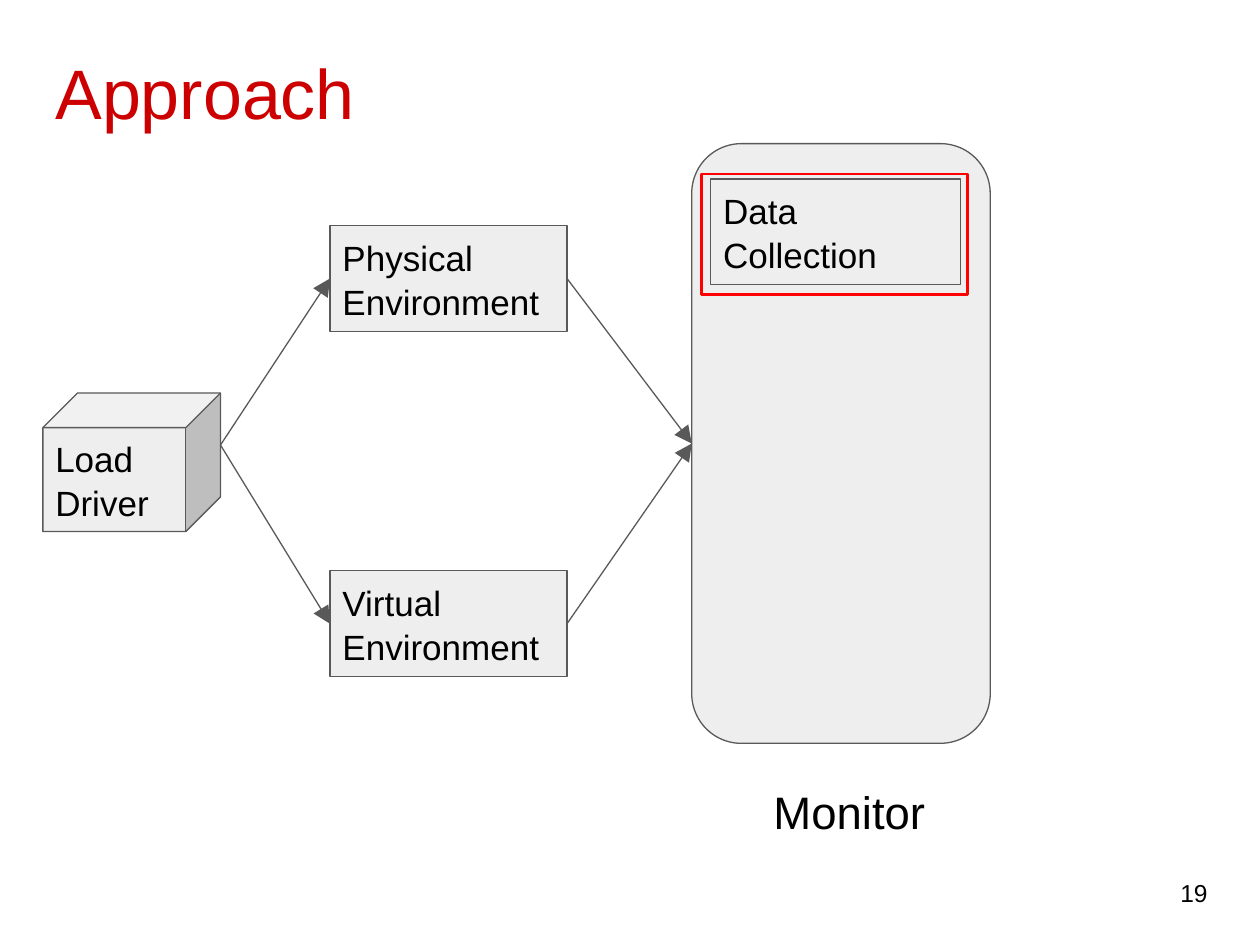
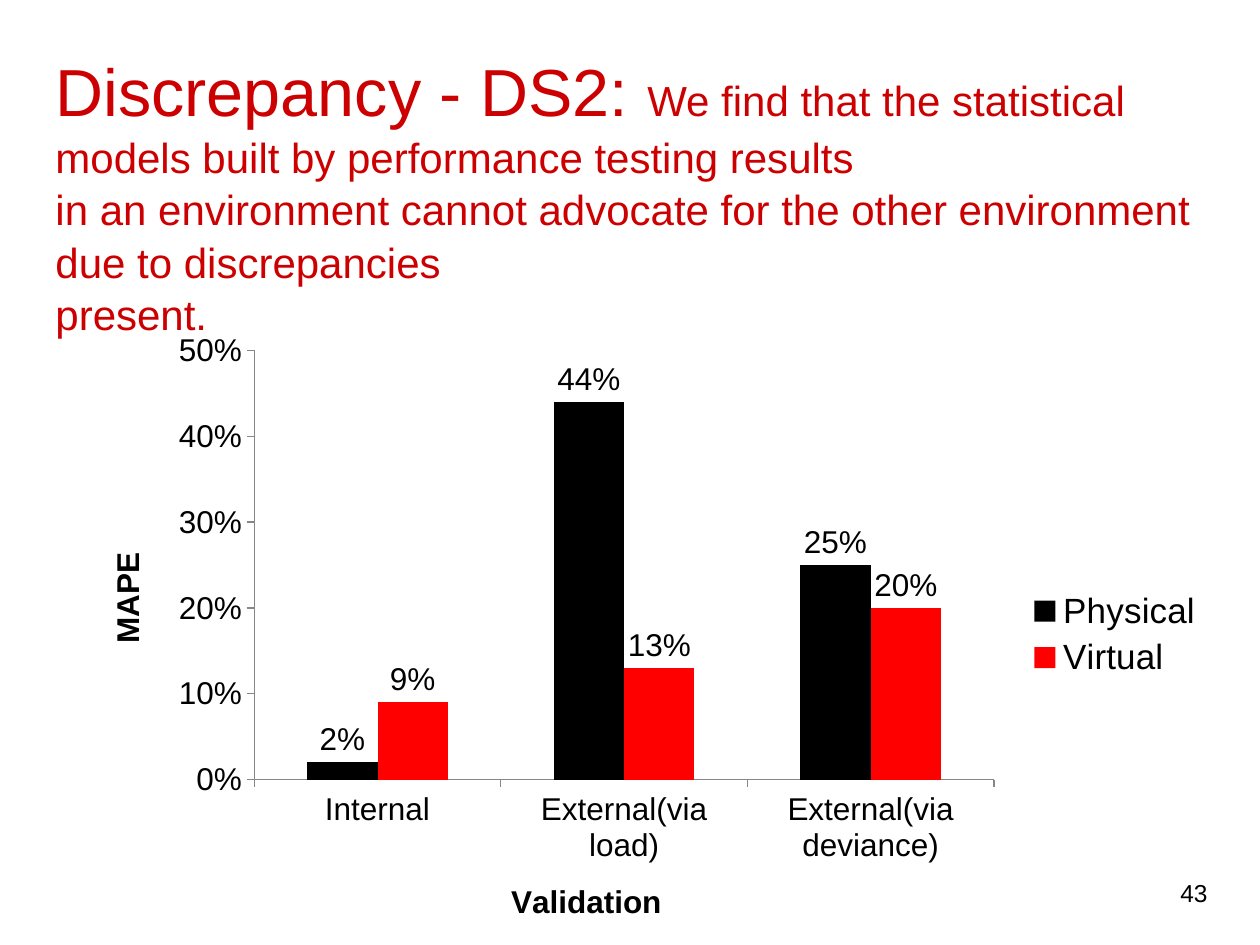
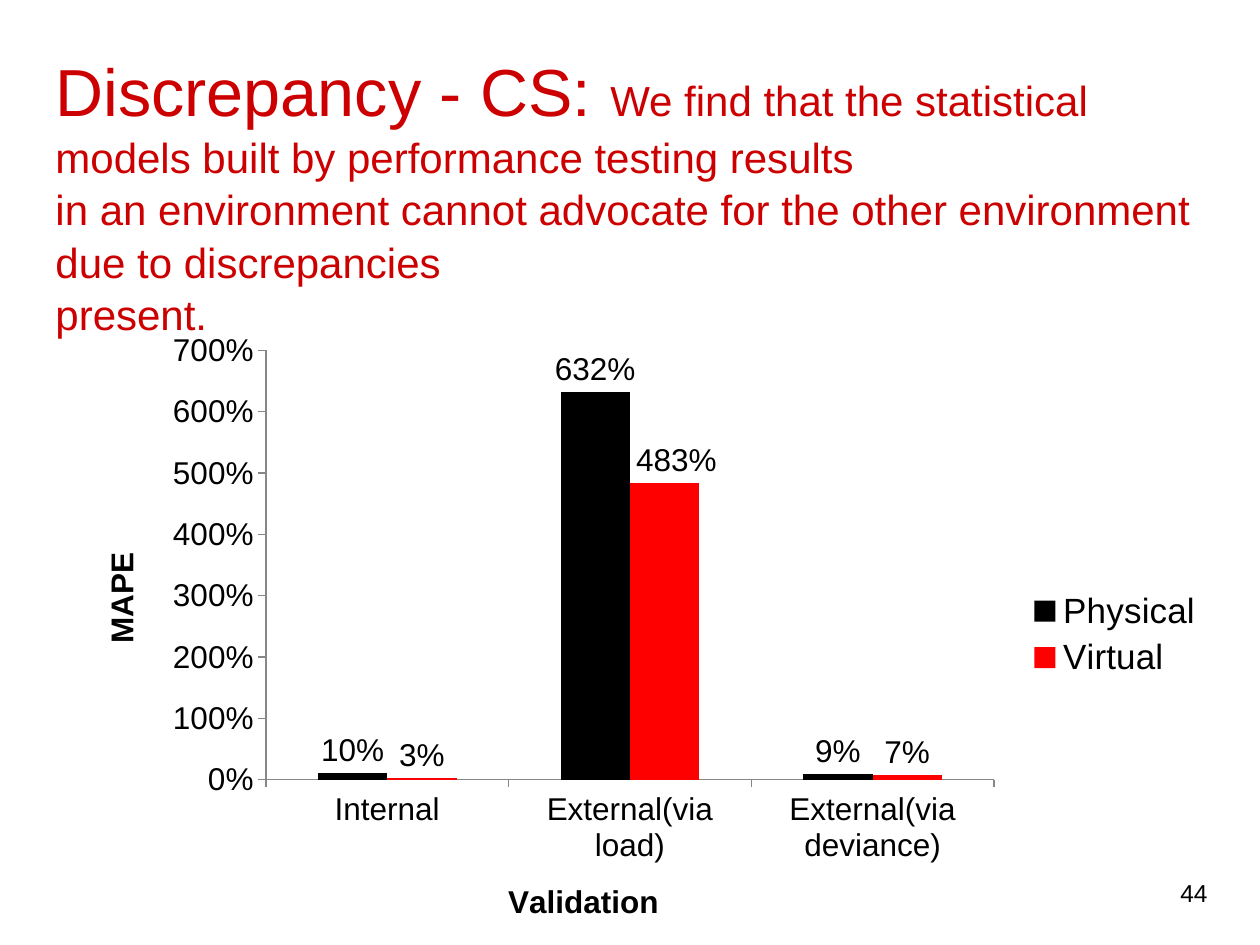
from collections import namedtuple

from lxml import etree
from pptx import Presentation
from pptx.chart.data import CategoryChartData
from pptx.dml.color import RGBColor
from pptx.enum.chart import (XL_CHART_TYPE as ChartType, XL_LABEL_POSITION as LabelPosition,
                             XL_LEGEND_POSITION as LegendPosition, XL_TICK_MARK as TickMark)
from pptx.enum.shapes import MSO_CONNECTOR as Connector, MSO_SHAPE as Shape
from pptx.enum.text import MSO_ANCHOR as Anchor, MSO_AUTO_SIZE as AutoSize, PP_ALIGN as Align
from pptx.oxml import parse_xml
from pptx.oxml.ns import nsdecls, qn
from pptx.util import Pt

Box = namedtuple("Box", "left top width height")

FONT = "Arial"
TITLE_RED, BLACK, RED = "CC0000", "000000", "FF0000"
PANEL_GREY, LINE_GREY, AXIS_GREY = "EEEEEE", "595959", "878787"
INSET = 7.2
LINE_SPACING = 1.04
TITLE_LEFT, TITLE_TOP, TITLE_WIDTH = 24.5, 19.4, 671
NUMBER_BOX = Box(667.4, 489.6, 43.2, 41)
DIAGRAM_BOX = Box(24.5, 82.1, 541.4, 398.8)
CHART_BOX = Box(24.5, 182.2, 671, 360.7)
CATEGORIES = ["Internal", "External(via load)", "External(via deviance)"]
FINDING = [
    "We find that the statistical models built by performance testing results",
    "in an environment cannot advocate for the other environment due to discrepancies",
    "present.",
]


def color(hex_string):
    return RGBColor.from_string(hex_string)


def in_points(box):
    return [Pt(length) for length in box]


def style_font(font, size, hex_string=BLACK, bold=False):
    font.name, font.size, font.bold = FONT, Pt(size), bold
    font.color.rgb = color(hex_string)


def write(shape, paragraphs, hex_string=BLACK, anchor=Anchor.MIDDLE):
    """Fill a shape with paragraphs, each a list of (text, size) runs."""
    frame = shape.text_frame
    frame.word_wrap, frame.auto_size = True, AutoSize.NONE
    frame.vertical_anchor = anchor
    frame.margin_left = frame.margin_right = frame.margin_top = frame.margin_bottom = Pt(INSET)
    for index, runs in enumerate(paragraphs):
        paragraph = frame.add_paragraph() if index else frame.paragraphs[0]
        paragraph.alignment = Align.LEFT
        paragraph.line_spacing = LINE_SPACING
        for text, size in runs:
            run = paragraph.add_run()
            run.text = text
            style_font(run.font, size, hex_string)


def add_label(slide, box, text, size, anchor=Anchor.TOP):
    write(slide.shapes.add_textbox(*in_points(box)), [[(text, size)]], anchor=anchor)


def add_block(slide, kind, box, text=None, fill=PANEL_GREY, line=LINE_GREY, width=0.75):
    block = slide.shapes.add_shape(kind, *in_points(box))
    block.shadow.inherit = False
    if fill:
        block.fill.solid()
        block.fill.fore_color.rgb = color(fill)
    else:
        block.fill.background()
    block.line.color.rgb = color(line)
    block.line.width = Pt(width)
    if text:
        write(block, [[(text, 20)]])
    return block


def add_arrow(slide, target, source=None, start=(0, 0)):
    """Point at the left side of target, from source's right side or a start point."""
    x, y = (Pt(length) for length in start)
    arrow = slide.shapes.add_connector(Connector.STRAIGHT, x, y, x, y)
    if source:
        arrow.begin_connect(source, 3)
    arrow.end_connect(target, 1)
    arrow.line.color.rgb = color(LINE_GREY)
    arrow.line.width = Pt(0.75)
    etree.SubElement(arrow.line._get_or_add_ln(), qn("a:tailEnd"), type="triangle", w="lg", len="lg")
    etree.SubElement(arrow._element.spPr, qn("a:effectLst"))


def add_titled_slide(presentation, number, title_height, paragraphs):
    slide = presentation.slides.add_slide(presentation.slide_layouts[5])
    title = slide.shapes.title
    title.left, title.top, title.width, title.height = in_points(
        (TITLE_LEFT, TITLE_TOP, TITLE_WIDTH, title_height))
    write(title, paragraphs, TITLE_RED, Anchor.TOP)
    add_label(slide, NUMBER_BOX, str(number), 14, Anchor.MIDDLE)
    return slide


def add_monitor(slide, box):
    panel = add_block(slide, Shape.ROUNDED_RECTANGLE, box)
    add_block(slide, Shape.RECTANGLE, Box(box.left + 10.8, box.top + 20.2, 142.6, 60.5),
              "Data Collection")
    add_block(slide, Shape.RECTANGLE, Box(box.left + 5.7, box.top + 17.3, 151.9, 69.1),
              fill=None, line=RED, width=1.5)
    add_label(slide, Box(box.left + 39.6, box.top + box.height + 15, 118, 41), "Monitor", 26)
    return panel


def add_approach_diagram(slide, box):
    driver = Box(box.left, box.top + 142.5, 101.5, 79.2)
    add_block(slide, Shape.CUBE, driver, "Load Driver")
    driver_exit = (driver.left + driver.width, driver.top + driver.height * 3 / 8)
    panel = add_monitor(slide, Box(box.left + 370.8, box.top, 170.6, 342.7))
    for name, top in (("Physical", 46.8), ("Virtual", 244.1)):
        environment = add_block(slide, Shape.RECTANGLE,
                                Box(box.left + 164.1, box.top + top, 135.4, 60.5),
                                f"{name} Environment")
        add_arrow(slide, environment, start=driver_exit)
        add_arrow(slide, panel, source=environment)


def add_layout(parent, index, **parts):
    """Insert a manual chart layout as the child of parent at index."""
    values = "".join(f'<c:{name} val="{value}"/>' for name, value in parts.items())
    parent.insert(index, parse_xml(
        f'<c:layout {nsdecls("c")}><c:manualLayout>{values}</c:manualLayout></c:layout>'))


def style_axis(axis, title):
    axis.has_major_gridlines = False
    axis.major_tick_mark, axis.minor_tick_mark = TickMark.OUTSIDE, TickMark.NONE
    axis.format.line.color.rgb = color(AXIS_GREY)
    style_font(axis.tick_labels.font, 18)
    run = axis.axis_title.text_frame.paragraphs[0].add_run()
    run.text = title
    style_font(run.font, 18, bold=True)


def style_series(series, fill):
    series.format.fill.solid()
    series.format.fill.fore_color.rgb = color(fill)
    labels = series.data_labels
    labels.show_value = True
    labels.number_format, labels.number_format_is_linked = "0%", False
    labels.position = LabelPosition.OUTSIDE_END
    style_font(labels.font, 18)


def shift_label(series, index, shift):
    label = series.points[index].data_label
    style_font(label.font, 18)
    label.position = LabelPosition.OUTSIDE_END
    add_layout(series._element.find(f".//{qn('c:dLbl')}"), 1, x=shift, y=0)


def add_error_chart(slide, box, physical, virtual, top_value, step, plot_left):
    data = CategoryChartData(number_format="0%")
    data.categories = CATEGORIES
    data.add_series("Physical", physical)
    data.add_series("Virtual", virtual)
    chart = slide.shapes.add_chart(ChartType.COLUMN_CLUSTERED, *in_points(box), data).chart
    chart.has_title = False
    style_font(chart.font, 18)
    chart.has_legend = True
    chart.legend.position = LegendPosition.RIGHT
    chart.legend.include_in_layout = False
    style_font(chart.legend.font, 20)

    style_axis(chart.category_axis, "Validation")
    value_axis = chart.value_axis
    style_axis(value_axis, "MAPE")
    value_axis.minimum_scale, value_axis.maximum_scale = 0, top_value
    value_axis.major_unit = step
    value_axis.tick_labels.number_format = "0%"
    value_axis.tick_labels.number_format_is_linked = False

    plot = chart.plots[0]
    plot.gap_width, plot.overlap, plot.vary_by_categories = 150, 0, False
    for series, fill in zip(plot.series, (BLACK, RED)):
        style_series(series, fill)

    plot_area = chart._chartSpace.chart.plotArea
    for layout in plot_area.findall(qn("c:layout")):
        plot_area.remove(layout)
    add_layout(plot_area, 0, layoutTarget="inner", xMode="edge", yMode="edge",
               x=plot_left, y=0.05, w=round(0.81 - plot_left, 2), h=0.68)
    return chart


def add_discrepancy_slide(presentation, number, system, **chart_options):
    first, *rest = FINDING
    paragraphs = [[(f"Discrepancy - {system}: ", 38), (first, 24)]]
    paragraphs += [[(line, 24)] for line in rest]
    slide = add_titled_slide(presentation, number, 181.4, paragraphs)
    return add_error_chart(slide, CHART_BOX, **chart_options)


def main():
    presentation = Presentation()
    presentation.slide_width, presentation.slide_height = Pt(720), Pt(540)
    approach = add_titled_slide(presentation, 19, 79.2, [[("Approach", 40)]])
    add_approach_diagram(approach, DIAGRAM_BOX)
    add_discrepancy_slide(presentation, 43, "DS2", physical=(0.02, 0.44, 0.25),
                          virtual=(0.09, 0.13, 0.2), top_value=0.5, step=0.1, plot_left=0.18)
    chart = add_discrepancy_slide(presentation, 44, "CS", physical=(0.1, 6.32, 0.09),
                                  virtual=(0.03, 4.83, 0.07), top_value=7, step=1,
                                  plot_left=0.19)
    shift_label(chart.plots[0].series[1], 1, 0.01)
    presentation.save("out.pptx")


if __name__ == "__main__":
    main()
